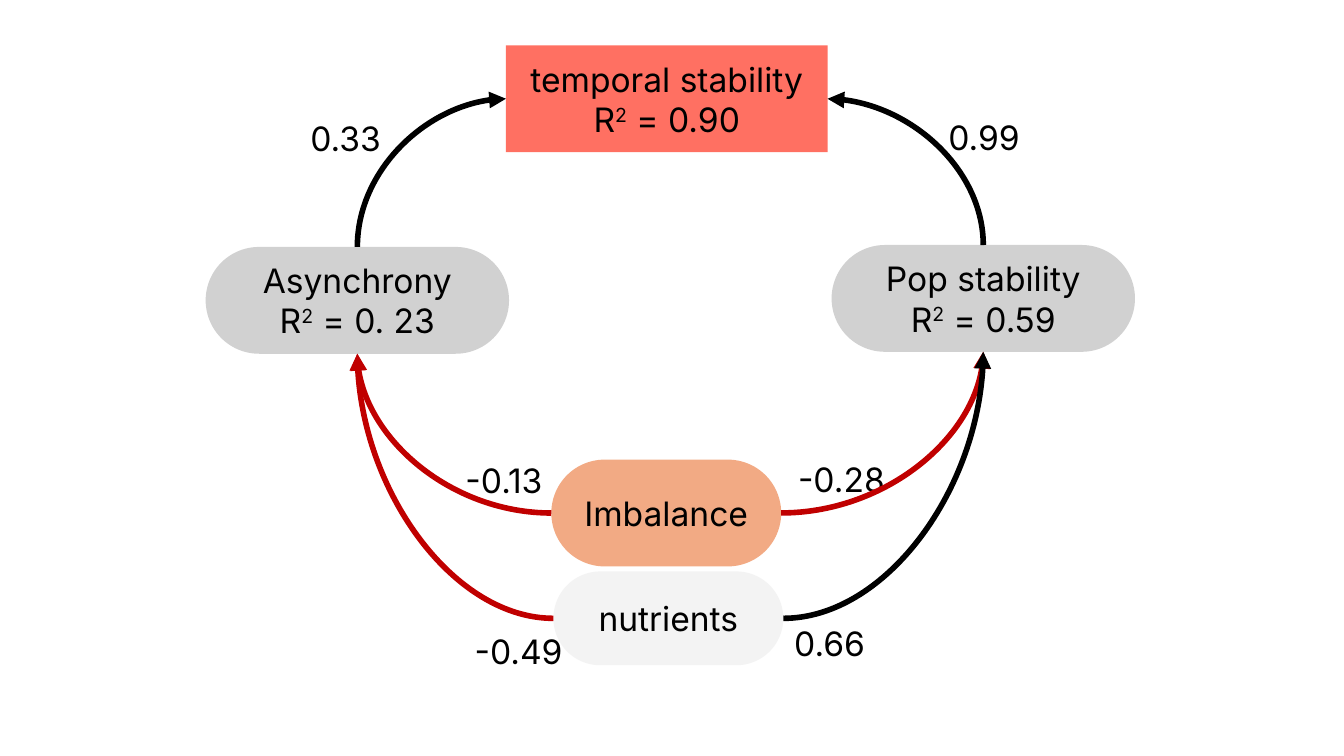
from pptx import Presentation
from pptx.dml.color import RGBColor
from pptx.enum.shapes import MSO_CONNECTOR, MSO_SHAPE
from pptx.enum.text import MSO_ANCHOR, MSO_AUTO_SIZE, PP_ALIGN
from pptx.oxml.ns import qn
from pptx.util import Pt
from lxml.etree import SubElement

BLACK = RGBColor(0x00, 0x00, 0x00)
RED = RGBColor(0xC0, 0x00, 0x00)
CORAL = RGBColor(0xFF, 0x70, 0x62)
PEACH = RGBColor(0xF2, 0xAA, 0x84)
GREY = RGBColor(0xD1, 0xD1, 0xD1)
PALE = RGBColor(0xE8, 0xE8, 0xE8)

TEXT_FORMAT = {"name": "Inter", "size": Pt(24)}
TOP, LEFT, BOTTOM, RIGHT = range(4)

# name: lines, (left, top, width, height), corner, fill, opacity
NODES = {
    "nutrients": (["nutrients"], (395.3, 408.2, 164.2, 67), 0.5, PALE, 50),
    "stability": (["temporal stability", "R^2^ = 0.90"],
                  (361.4, 32.4, 229.7, 76.3), 0, CORAL, 100),
    "asynchrony": (["Asynchrony", "R^2^ = 0. 23"],
                   (146.9, 176.4, 216.7, 76.3), 0.5, GREY, 100),
    "imbalance": (["Imbalance"], (393.8, 328.3, 164.2, 76.3), 0.5, PEACH, 100),
    "population": (["Pop stability", "R^2^ = 0.59"],
                   (594, 175, 216.7, 76.3), 0.5, GREY, 100),
}

LABELS = [
    ("0.99", 670.3, 79.9, 174.2),
    ("-0.28", 563, 324, 81.4),
    ("0.66", 560.2, 441.4, 67.7),
    ("-0.13", 325.4, 324.7, 174.2),
    ("0.33", 214.6, 80.6, 174.2),
    ("-0.49", 331.9, 447.1, 174.2),
]
LABEL_HEIGHT = 36

# level end, upright end, colour, arrowhead end
PATHS = [
    (("imbalance", LEFT), ("asynchrony", BOTTOM), RED, "tailEnd"),
    (("stability", LEFT), ("asynchrony", TOP), BLACK, "headEnd"),
    (("imbalance", RIGHT), ("population", BOTTOM), RED, "tailEnd"),
    (("stability", RIGHT), ("population", TOP), BLACK, "headEnd"),
    (("nutrients", RIGHT), ("population", BOTTOM), BLACK, "tailEnd"),
    (("nutrients", LEFT), ("asynchrony", BOTTOM), RED, "tailEnd"),
]


def write(frame, lines, align):
    frame.word_wrap = True
    for index, line in enumerate(lines):
        para = frame.paragraphs[0] if index == 0 else frame.add_paragraph()
        para.alignment = align
        for part, text in enumerate(line.split("^")):
            span = para.add_run()
            span.text = text
            for key, value in TEXT_FORMAT.items():
                setattr(span.font, key, value)
            span.font.color.rgb = BLACK
            if part % 2:
                span._r.get_or_add_rPr().set("baseline", "30000")


def add_node(page, lines, place, corner, colour, opacity):
    box = page.shapes.add_shape(MSO_SHAPE.ROUNDED_RECTANGLE, *map(Pt, place))
    box.adjustments[0] = corner
    box.shadow.inherit = False
    box.fill.solid()
    box.fill.fore_color.rgb = colour
    box.line.fill.background()
    if opacity < 100:
        tint = box._element.spPr.find(qn("a:solidFill"))[0]
        SubElement(tint, qn("a:alpha")).set("val", str(opacity * 1000))
    box.text_frame.vertical_anchor = MSO_ANCHOR.MIDDLE
    write(box.text_frame, lines, PP_ALIGN.CENTER)
    return box


def add_label(page, text, left, top, width):
    box = page.shapes.add_textbox(*map(Pt, (left, top, width, LABEL_HEIGHT)))
    write(box.text_frame, [text], PP_ALIGN.LEFT)
    box.text_frame.auto_size = MSO_AUTO_SIZE.SHAPE_TO_FIT_TEXT


def add_path(page, boxes, level, upright, colour, arrow_end):
    curve = page.shapes.add_connector(MSO_CONNECTOR.CURVE, 0, 0, 0, 0)
    curve.begin_connect(boxes[level[0]], level[1])
    curve.end_connect(boxes[upright[0]], upright[1])
    curve.line.color.rgb = colour
    curve.line.width = Pt(4)
    properties = curve._element.spPr
    properties.find(qn("a:prstGeom")).set("prst", "curvedConnector2")
    SubElement(curve.line._get_or_add_ln(), qn("a:" + arrow_end)).set("type", "triangle")
    SubElement(properties, qn("a:effectLst"))


def main():
    deck = Presentation()
    deck.slide_width, deck.slide_height = Pt(960), Pt(540)
    page = deck.slides.add_slide(deck.slide_layouts[6])
    boxes = {name: add_node(page, *node) for name, node in NODES.items()}
    for label in LABELS:
        add_label(page, *label)
    for path_ends in PATHS:
        add_path(page, boxes, *path_ends)
    deck.save("out.pptx")


if __name__ == "__main__":
    main()
